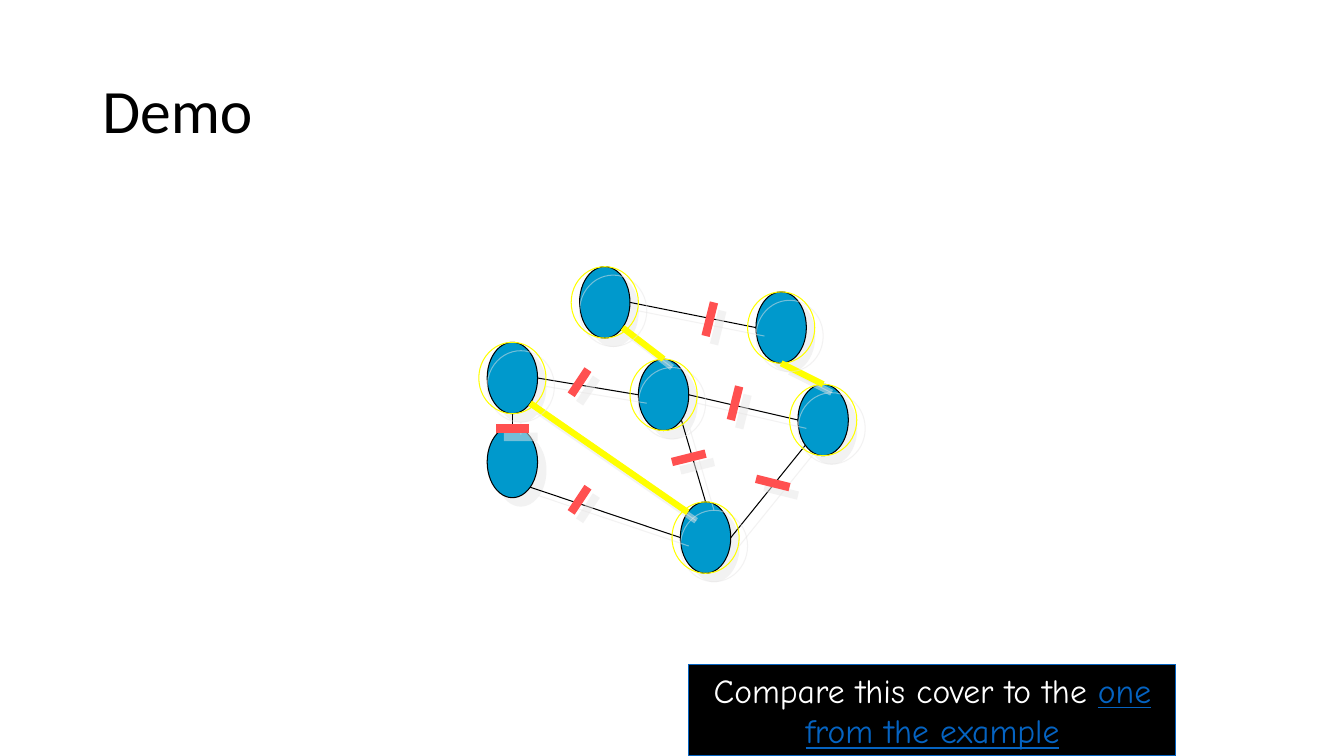
"""Build the demo slide: a graph with its matched edges and struck-out edges."""
from lxml.etree import SubElement
from pptx import Presentation
from pptx.dml.color import RGBColor as RGB
from pptx.enum.shapes import MSO_CONNECTOR as LINK, MSO_SHAPE as SHAPE
from pptx.enum.text import MSO_ANCHOR as ANCHOR, PP_ALIGN as ALIGN
from pptx.oxml.ns import qn
from pptx.util import Pt

BLACK = RGB(0x00, 0x00, 0x00)
WHITE = RGB(0xFF, 0xFF, 0xFF)
BLUE = RGB(0x00, 0x99, 0xCC)
LINE_BLUE = RGB(0x05, 0x63, 0xC1)
YELLOW = RGB(0xFF, 0xFF, 0x00)
RED = RGB(0xFF, 0x50, 0x50)
GRAY = RGB(0xE7, 0xE6, 0xE6)
TALL = 51
DIAG = 0.707


def finish(item, color, width):
    item.line.color.rgb = color
    item.line.width = Pt(width)
    box = item._element.spPr
    for old in box.findall(qn("a:effectLst")):
        box.remove(old)
    effect = SubElement(box, qn("a:effectLst"))
    shade = SubElement(effect, qn("a:outerShdw"), dist=str(Pt(8.5)),
                       dir="2700000", algn="ctr", rotWithShape="0")
    tint = SubElement(shade, qn("a:srgbClr"), val=str(GRAY))
    SubElement(tint, qn("a:alpha"), val="50000")


def oval(name, wide, color):
    x, y = nodes[name]
    item = shapes.add_shape(SHAPE.OVAL, Pt(x - wide / 2), Pt(y - TALL / 2),
                            Pt(wide), Pt(TALL))
    item.fill.background()
    finish(item, color, 0.75)
    return item


deck = Presentation()
deck.slide_width, deck.slide_height = Pt(960), Pt(540)
shapes = deck.slides.add_slide(deck.slide_layouts[6]).shapes

title = shapes.add_textbox(Pt(66), Pt(28.75), Pt(828), Pt(104.4)).text_frame
title.word_wrap = True
title.vertical_anchor = ANCHOR.MIDDLE
para = title.paragraphs[0]
para.text = "Demo"
para.line_spacing = 0.9
para.font.name = "Calibri"
para.font.size = Pt(44)
para.font.color.rgb = BLACK

nodes = {
    "south west": (366, 330), "center": (474, 282), "south": (504, 384),
    "east": (588, 300), "north east": (558, 234), "north": (432, 216),
    "west": (366, 270),
}
for name in nodes:
    node = oval(name, 36, BLACK)
    node.fill.solid()
    node.fill.fore_color.rgb = BLUE

sides = {
    "top": (0, -1), "left": (-1, 0), "bottom": (0, 1), "right": (1, 0),
    "top left": (-DIAG, -DIAG), "low left": (-DIAG, DIAG),
    "low right": (DIAG, DIAG),
}
ports = {(name, side): (Pt(x + dx * 18), Pt(y + dy * TALL / 2))
         for name, (x, y) in nodes.items()
         for side, (dx, dy) in sides.items()}

covers = [
    (("west", "low right"), ("south", "top left")),
    (("north east", "bottom"), ("east", "top")),
    (("center", "top"), ("north", "low right")),
]
edges = [
    (("south west", "low right"), ("south", "left")),
    (("south west", "top"), ("west", "bottom")),
    (("west", "right"), ("center", "left")),
    (("center", "low right"), ("south", "top")),
    (("north", "right"), ("north east", "left")),
    (("east", "left"), ("center", "right")),
    (("east", "low left"), ("south", "right")),
] + covers
for start, end in edges:
    edge = shapes.add_connector(LINK.STRAIGHT, *ports[start], *ports[end])
    finish(edge, BLACK, 0.75)

strikes = [
    [(420, 348, 408, 366), (504, 324, 480, 330), (564, 348, 540, 342),
     (378, 306, 354, 306), (420, 264, 408, 282)],
    [(522, 300, 528, 276), (504, 240, 510, 216)],
    [],
]
for (start, end), bars in zip(covers, strikes):
    match = shapes.add_connector(LINK.STRAIGHT, *ports[start], *ports[end])
    finish(match, YELLOW, 4.5)
    for name, side in (start, end):
        oval(name, 48, YELLOW)
    for bar in bars:
        strike = shapes.add_connector(LINK.STRAIGHT, *map(Pt, bar))
        finish(strike, RED, 6)

note = shapes.add_shape(SHAPE.RECTANGLE, Pt(492), Pt(474.5), Pt(348), Pt(65.5))
note.shadow.inherit = False
note.fill.solid()
note.fill.fore_color.rgb = BLACK
note.line.color.rgb = LINE_BLUE
note.line.width = Pt(0.75)
frame = note.text_frame
frame.word_wrap = True
frame.vertical_anchor = ANCHOR.MIDDLE
para = frame.paragraphs[0]
para.alignment = ALIGN.CENTER
para.font.name = "Comic Neue"
para.font.size = Pt(24)
for text, color in (("Compare this cover to the ", WHITE),
                    ("one from the example", LINE_BLUE)):
    run = para.add_run()
    run.text = text
    run.font.color.rgb = color
run.font.underline = True

deck.save("out.pptx")
